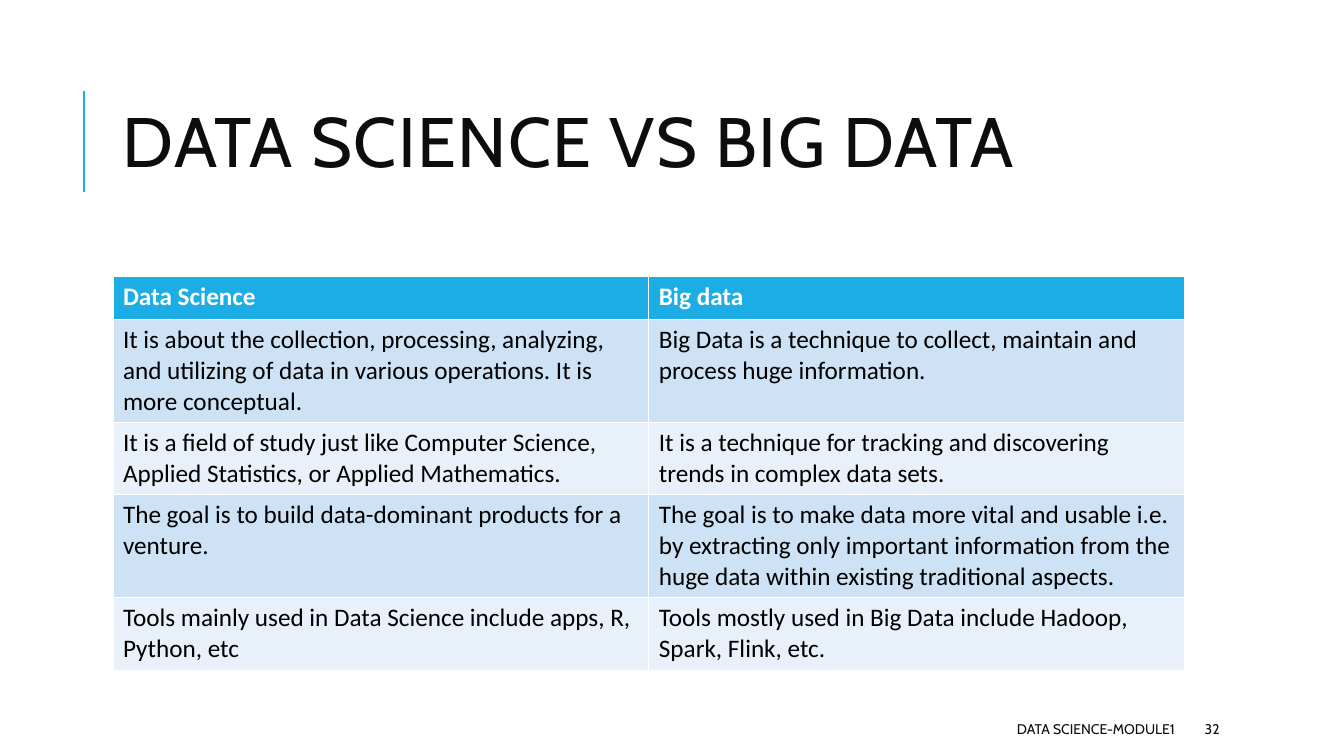
from pptx import Presentation
from pptx.dml.color import RGBColor
from pptx.enum.shapes import MSO_CONNECTOR
from pptx.enum.text import MSO_ANCHOR, PP_ALIGN
from pptx.oxml.ns import qn
from pptx.util import Inches, Pt
from lxml.etree import SubElement

TITLE = "DATA SCIENCE VS BIG DATA"
FOOTER = "DATA SCIENCE-MODULE1"
PAGE = "32"
COMPARISON = [
    ("Data Science", "Big data"),
    ("It is about the collection, processing, analyzing, and utilizing of data in various operations. It is more conceptual.",
     "Big Data is a technique to collect, maintain and process huge information."),
    ("It is a field of study just like Computer Science, Applied Statistics, or Applied Mathematics.",
     "It is a technique for tracking and discovering trends in complex data sets."),
    ("The goal is to build data-dominant products for a venture.",
     "The goal is to make data more vital and usable i.e. by extracting only important information from the huge data within existing traditional aspects."),
    ("Tools mainly used in Data Science include apps, R, Python, etc",
     "Tools mostly used in Big Data include Hadoop, Spark, Flink, etc."),
]
ROW_HEIGHTS = [0.43, 1.02, 0.72, 1.02, 0.72]
ACCENT, INK, BLACK, WHITE = "1CADE4", "0D0D0D", "000000", "FFFFFF"
BANDS = ["E8F1FA", "CDE3F5"]
LEFT, CONTENT_WIDTH = 1.12, 10.63
FOOTER_TOP, FOOTER_HEIGHT = 7.08, 0.3


def color(value):
    return RGBColor.from_string(value)


def set_font(paragraph, name, size, value, bold=False):
    font = paragraph.font
    font.name, font.size, font.bold = name, Pt(size), bold
    font.color.rgb = color(value)


def add_text(slide, text, box, size, align=PP_ALIGN.LEFT):
    shape = slide.shapes.add_textbox(*map(Inches, box))
    frame = shape.text_frame
    frame.word_wrap = True
    frame.vertical_anchor = MSO_ANCHOR.MIDDLE
    paragraph = frame.paragraphs[0]
    paragraph.text = text
    paragraph.alignment = align
    set_font(paragraph, "Cabin", size, INK)
    return paragraph


def add_title(slide):
    rule = slide.shapes.add_connector(
        MSO_CONNECTOR.STRAIGHT, Inches(0.83), Inches(1.9), Inches(0.83), Inches(0.9))
    rule.line.color.rgb = color(ACCENT)
    rule.line.width = Pt(1.5)
    SubElement(rule._element.spPr, qn("a:effectLst"))
    title = add_text(slide, TITLE, (LEFT, 0.64, CONTENT_WIDTH, 1.64), 50)
    title.line_spacing = 0.8
    title.runs[0]._r.get_or_add_rPr().set("spc", "100")


def add_comparison(slide):
    table = slide.shapes.add_table(
        len(COMPARISON), 2, Inches(LEFT), Inches(2.74),
        Inches(CONTENT_WIDTH), Inches(sum(ROW_HEIGHTS))).table
    for index, (texts, height) in enumerate(zip(COMPARISON, ROW_HEIGHTS)):
        header = index == 0
        table.rows[index].height = Inches(height)
        for cell, text in zip(table.rows[index].cells, texts):
            cell.text = text
            cell.fill.solid()
            cell.fill.fore_color.rgb = color(ACCENT if header else BANDS[index % 2])
            set_font(cell.text_frame.paragraphs[0], "Calibri", 18,
                     WHITE if header else BLACK, header)


def main():
    presentation = Presentation()
    presentation.slide_width = Inches(13.33)
    presentation.slide_height = Inches(7.5)
    slide = presentation.slides.add_slide(presentation.slide_layouts[6])
    add_title(slide)
    add_comparison(slide)
    add_text(slide, FOOTER, (5.3, FOOTER_TOP, 6.45, FOOTER_HEIGHT), 10, PP_ALIGN.RIGHT)
    add_text(slide, PAGE, (11.85, FOOTER_TOP, 1.06, FOOTER_HEIGHT), 10)
    presentation.save("out.pptx")


if __name__ == "__main__":
    main()
